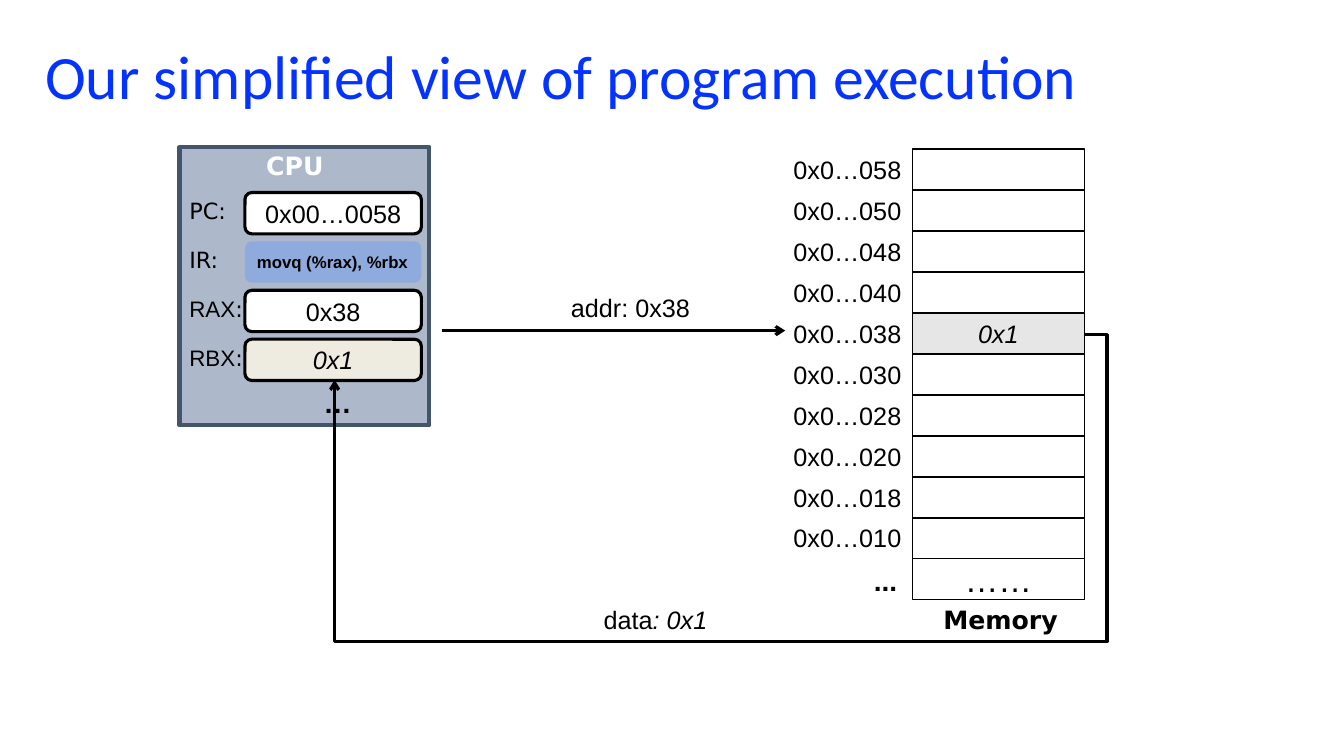
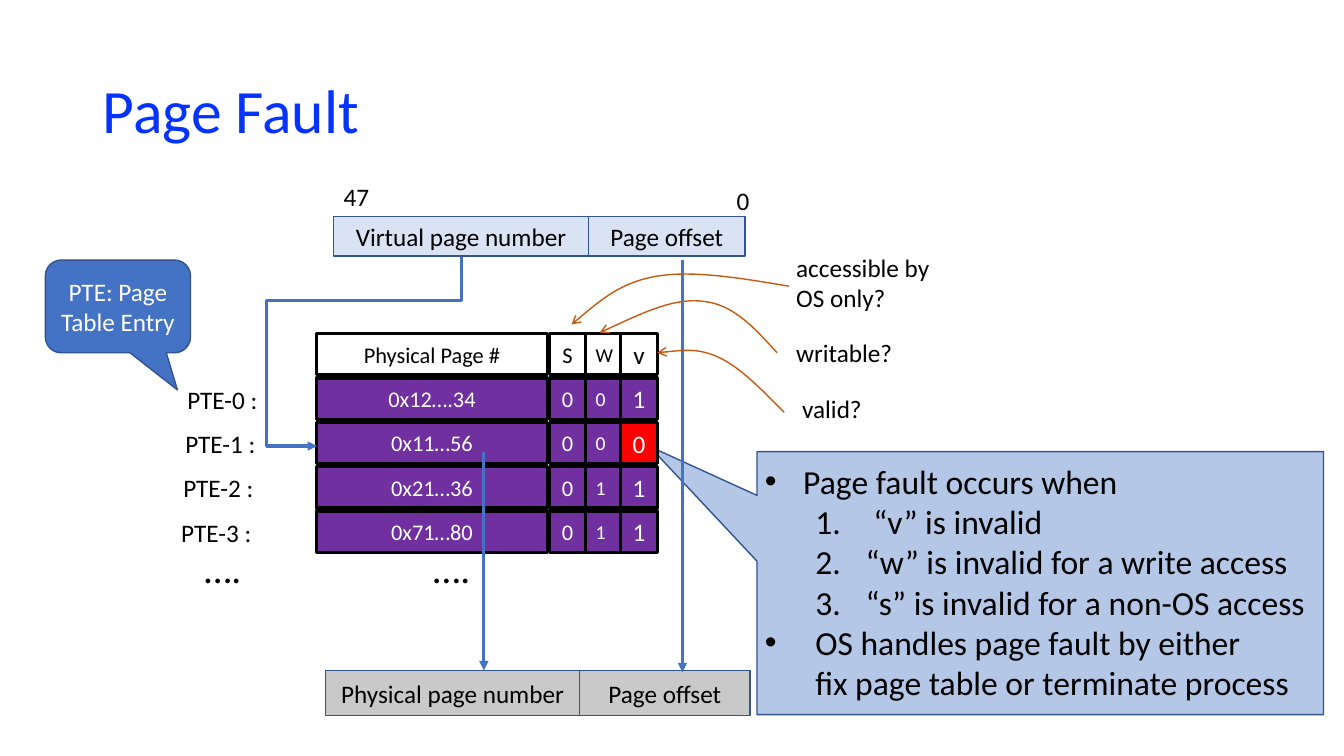
from dataclasses import dataclass

from lxml.etree import SubElement
from pptx import Presentation
from pptx.dml.color import RGBColor
from pptx.enum.shapes import MSO_CONNECTOR, MSO_SHAPE
from pptx.enum.text import MSO_ANCHOR, MSO_AUTO_SIZE, PP_ALIGN
from pptx.oxml.ns import qn
from pptx.util import Inches, Pt

# The grid has ten columns and ten rows to the inch.
COLUMNS, ROWS = 133.33, 75
BLACK, WHITE = "000000", "FFFFFF"
TITLE_BLUE, BLUE, BLUE_EDGE = "0432FF", "4472C4", "325491"
PURPLE, RED, ORANGE = "7030A0", "FF0000", "C55A11"
CALIBRI, ARIAL, DEJAVU = "Calibri", "Arial", "DejaVu Sans"
LEFT, CENTER, RIGHT = PP_ALIGN.LEFT, PP_ALIGN.CENTER, PP_ALIGN.RIGHT


def grid(*cells):
    return [Inches(cell / 10) for cell in cells]


def rgb(hex_color):
    return RGBColor.from_string(hex_color)


@dataclass
class Box:
    x: float
    y: float
    w: float
    h: float

    def at(self, dx, dy, w, h):
        """Box placed relative to this one's top left corner."""
        return Box(self.x + dx, self.y + dy, w, h)

    def emu(self):
        return grid(self.x, self.y, self.w, self.h)


def write(shape, paragraphs, size=18, font=CALIBRI, color=BLACK, bold=False,
          italic=False, align=LEFT, anchor=MSO_ANCHOR.MIDDLE, spacing=None):
    """Each paragraph is a string or a list of (text, format changes) runs."""
    frame = shape.text_frame
    frame.vertical_anchor = anchor
    if isinstance(paragraphs, str):
        paragraphs = [paragraphs]
    for index, runs in enumerate(paragraphs):
        paragraph = frame.add_paragraph() if index else frame.paragraphs[0]
        paragraph.alignment = align
        if spacing:
            paragraph.line_spacing = spacing
        for text, changes in [(runs, {})] if isinstance(runs, str) else runs:
            run = paragraph.add_run()
            run.text = text
            run.font.size = Pt(size)
            run.font.name = changes.get("font", font)
            run.font.bold = bold
            run.font.italic = changes.get("italic", italic)
            run.font.color.rgb = rgb(color)
    return frame


def label(slide, box, paragraphs, **text_format):
    text_box = slide.shapes.add_textbox(*box.emu())
    frame = write(text_box, paragraphs, anchor=MSO_ANCHOR.TOP, **text_format)
    frame.word_wrap = False
    frame.auto_size = MSO_AUTO_SIZE.SHAPE_TO_FIT_TEXT
    return frame


def block(slide, box, fill, edge=BLACK, weight=1.0, kind=MSO_SHAPE.RECTANGLE,
          text=None, adjust=(), **text_format):
    shape = slide.shapes.add_shape(kind, *box.emu())
    shape.shadow.inherit = False
    shape.fill.solid()
    shape.fill.fore_color.rgb = rgb(fill)
    if edge:
        shape.line.color.rgb = rgb(edge)
        shape.line.width = Pt(weight)
    else:
        shape.line.fill.background()
    for index, value in enumerate(adjust):
        shape.adjustments[index] = value
    if text:
        write(shape, text, **{"align": CENTER, **text_format})


def style_arrow(line, color, weight, head):
    line.line.color.rgb = rgb(color)
    line.line.width = Pt(weight)
    properties = line._element.spPr
    SubElement(properties.find(qn("a:ln")), qn("a:tailEnd"), type=head)
    if properties.find(qn("a:effectLst")) is None:
        SubElement(properties, qn("a:effectLst"))


def arrow(slide, start, end, color=BLUE, head="triangle"):
    line = slide.shapes.add_connector(MSO_CONNECTOR.STRAIGHT, *grid(*start, *end))
    style_arrow(line, color, 2.25, head)


def elbow(slide, start, end, bends, color=BLUE, head="triangle", quarter_turns=0):
    """Connector with three bends, turned about its centre."""
    line = slide.shapes.add_connector(MSO_CONNECTOR.ELBOW, *grid(*start, *end))
    properties = line._element.spPr
    if quarter_turns:
        properties.find(qn("a:xfrm")).set("rot", str(quarter_turns * 5400000))
    geometry = properties.find(qn("a:prstGeom"))
    geometry.set("prst", "bentConnector4")
    guides = geometry.find(qn("a:avLst"))
    if guides is None:
        guides = SubElement(geometry, qn("a:avLst"))
    for number, share in enumerate(bends, 1):
        SubElement(guides, qn("a:gd"), name=f"adj{number}",
                   fmla=f"val {round(share * 100000)}")
    style_arrow(line, color, 2.25, head)


def curve(slide, start, *points):
    """Arrow along cubic curves; every three points make one curve."""
    builder = slide.shapes.build_freeform(*grid(*start))
    builder.add_line_segments([grid(*point) for point in points], close=False)
    shape = builder.convert_to_shape()
    outline = shape._element.find(".//" + qn("a:path"))
    segments = outline.findall(qn("a:lnTo"))
    for first in range(0, len(segments), 3):
        bezier = SubElement(outline, qn("a:cubicBezTo"))
        for segment in segments[first:first + 3]:
            bezier.append(segment[0])
            outline.remove(segment)
    shape.shadow.inherit = False
    shape.fill.background()
    style_arrow(shape, ORANGE, 1, "arrow")


def add_slide(deck, title, box):
    slide = deck.slides.add_slide(deck.slide_layouts[6])
    heading = slide.shapes.add_textbox(*box.emu())
    write(heading, title, size=44, color=TITLE_BLUE, spacing=0.9).word_wrap = True
    return slide


def cpu(slide, box):
    block(slide, box, "ADB9CA", "44546A", 3)
    label(slide, box.at(7.6, -0.2, 7.7, 4), "CPU", font=DEJAVU, color=WHITE,
          bold=True, align=CENTER)
    colon = (":", {"font": DEJAVU})
    registers = [
        ([("PC", {"font": DEJAVU}), colon], "0x00…0058", WHITE, BLACK, {}),
        ([("IR", {"font": DEJAVU}), colon], "movq (%rax), %rbx", "8FAADC", None,
         {"size": 12, "bold": True, "align": LEFT}),
        ([("RAX", {}), colon], "0x38", WHITE, BLACK, {}),
        ([("RBX", {}), colon], "0x1", "EEECE1", BLACK, {"italic": True}),
    ]
    for row, (name, value, fill, edge, changes) in enumerate(registers):
        top = 4.5 + 4.85 * row
        label(slide, box.at(0, top, 7.7, 3.7), [name], size=16, font=ARIAL)
        block(slide, box.at(6.5, top, 17.5, 4.1), fill, edge, 2.25,
              MSO_SHAPE.ROUNDED_RECTANGLE, value, font=ARIAL, **changes)
    label(slide, box.at(13.3, 23.2, 4.8, 4.4), "…", size=20, font=ARIAL,
          bold=True, align=CENTER)


def memory(slide, box):
    """Column of words, each with its address on the left."""
    addresses = [f"0x0…0{number}" for number in
                 ("58", "50", "48", "40", "38", "30", "28", "20", "18", "10")]
    contents = {"0x0…038": ("0x1", "E7E6E6", {"italic": True}),
                "...": ("……", WHITE, {"size": 24})}
    pitch = box.h / (len(addresses) + 1)
    for row, address in enumerate(addresses + ["..."]):
        value, fill, changes = contents.get(address, (None, WHITE, {}))
        block(slide, box.at(0, row * pitch, box.w, pitch), fill, text=value,
              font=ARIAL, **changes)
        last = address == "..."
        label(slide, box.at(-12.9, row * pitch, 12.8 if not last else 12.4, 4),
              address, font=ARIAL, align=RIGHT, bold=last, size=20 if last else 18)
    label(slide, box.at(2.1, box.h, 13.4, 4), "Memory", font=DEJAVU, bold=True)


def execution_slide(deck):
    slide = add_slide(deck, "Our simplified view of program execution",
                      Box(3.5, 1.6, 127.1, 12.5))
    cpu(slide, Box(17.8, 14.6, 24.8, 27.6))
    memory(slide, Box(90.5, 14.8, 17.1, 44.7))
    arrow(slide, (43.8, 32.8), (77.9, 32.8), BLACK, "arrow")
    label(slide, Box(55.6, 28.5, 13.9, 4), "addr: 0x38", font=ARIAL, align=CENTER)
    elbow(slide, (107.6, 33.2), (33.2, 37.7), (-0.03, 6.76), BLACK, "arrow")
    label(slide, Box(58.9, 59.5, 12.5, 4),
          [[("data", {}), (": 0x1", {"italic": True})]], font=ARIAL)


def address_bar(slide, box, number_width, number, fill):
    """Page number and page offset side by side."""
    block(slide, box.at(0, 0, number_width, box.h), fill, BLUE_EDGE, text=number)
    block(slide, box.at(number_width, 0, box.w - number_width, box.h), fill,
          BLUE_EDGE, text="Page offset")


def page_table(slide, box):
    rows = [("Physical Page #", "S", "W", "v"), ("0x12….34", "0", "0", "1"),
            ("0x11…56", "0", "0", "0"), ("0x21…36", "0", "1", "1"),
            ("0x71…80", "0", "1", "1")]
    columns = [(0, 22.9, 16, CENTER), (23.1, 3.6, 16, CENTER),
               (26.7, 3.5, 14, LEFT), (30.2, 3.6, 18, CENTER)]
    pitch = box.h / len(rows)
    for row, values in enumerate(rows):
        for value, (left, width, size, align) in zip(values, columns):
            invalid = row == 2 and left == columns[-1][0]
            fill = RED if invalid else PURPLE if row else WHITE
            block(slide, box.at(left, row * pitch, width, 4.1), fill, BLACK, 2.25,
                  text=value, size=size, align=align,
                  color=WHITE if row else BLACK)
        if row:
            label(slide, box.at(-13.6 - 0.2 * row, row * pitch + 0.1, 9, 4),
                  f"PTE-{row - 1} :")
    for left in (-12.1, 10.6):
        label(slide, box.at(left, box.h - 1.6, 5.7, 5.7), "….", size=28)


def flag_questions(slide, box):
    for left, top, question in [(0, 0, ["accessible by", "OS only?"]),
                                (0, 8.5, "writable?"), (0.6, 14, "valid?")]:
        label(slide, box.at(left, top, 15.4, 4), question)
    curve(slide, (77.1, 35), (74.9, 32.6), (72.8, 30.2), (69.8, 29.9),
          (66.9, 29.5), (63.2, 31.3), (59.5, 33))
    curve(slide, (78.3, 28.4), (73.5, 27.6), (68.8, 26.8), (65.2, 27.4),
          (61.6, 28), (59.2, 30.1), (56.7, 32.2))
    curve(slide, (77.8, 40.9), (75.6, 38.7), (73.5, 36.5), (71.4, 35.5),
          (69.3, 34.5), (67.2, 34.8), (65.2, 35))


def fault_rules(slide, box):
    """Bulleted and numbered text of the large callout."""
    numbered = ("a:buAutoNum", {"type": "arabicPeriod"})
    dot = ("a:buChar", {"char": "•"})
    rules = [("Page fault occurs when", 0, 0.38, -0.38, dot),
             (" “v” is invalid", 1, 1, -0.5, numbered),
             ("“w” is invalid for a write access", 1, 1, -0.5, numbered),
             ("“s” is invalid for a non-OS access", 1, 1, -0.5, numbered),
             ("OS handles page fault by either", 0, 0.5, -0.5, dot),
             ("fix page table or terminate process", 1, 0.5, 0, ("a:buNone", {}))]
    frame = label(slide, box, [rule[0] for rule in rules], size=24)
    for paragraph, (_, level, margin, indent, bullet) in zip(frame.paragraphs, rules):
        paragraph.level = level
        properties = paragraph._p.get_or_add_pPr()
        properties.set("marL", str(Inches(margin)))
        properties.set("indent", str(Inches(indent)))
        tag, attributes = bullet
        if bullet is dot:
            SubElement(properties, qn("a:buFont"), typeface=ARIAL)
        SubElement(properties, qn(tag), **attributes)


def page_fault_slide(deck):
    rules_box = Box(75.1, 44.8, 56.2, 26.1)
    slide = add_slide(deck, "Page Fault", Box(9.2, 4, 115, 14.5))
    block(slide, rules_box, "B4C7E7", BLUE_EDGE,
          kind=MSO_SHAPE.RECTANGULAR_CALLOUT, adjust=(-0.69, -0.52))
    label(slide, Box(33.1, 17.5, 4.6, 4), "47")
    label(slide, Box(72.1, 17.9, 3.3, 4), "0")
    address_bar(slide, Box(33.1, 21.5, 40.8, 3.9), 25.3, "Virtual page number", "DAE3F3")
    address_bar(slide, Box(32.3, 66.5, 42.1, 4.5), 25.2, "Physical page number", "C9C9C9")
    arrow(slide, (67.7, 25.8), (67.7, 66.7))
    page_table(slide, Box(31.4, 33.1, 33.8, 22))
    arrow(slide, (48, 44.8), (48, 66.5))
    elbow(slide, (29.2, 27.7), (48, 42), (0.23, 1.35), quarter_turns=1)
    flag_questions(slide, Box(78, 24.5, 15.4, 18))
    fault_rules(slide, rules_box.at(-0.2, 0.4, 56.1, 25.2))
    block(slide, Box(4.5, 25.8, 14.4, 9.2), BLUE, BLUE_EDGE,
          kind=MSO_SHAPE.ROUNDED_RECTANGULAR_CALLOUT, adjust=(0.41, 0.9, 0.17),
          text="PTE: Page Table Entry", color=WHITE)


def main():
    deck = Presentation()
    deck.slide_width, deck.slide_height = grid(COLUMNS, ROWS)
    execution_slide(deck)
    page_fault_slide(deck)
    deck.save("out.pptx")


if __name__ == "__main__":
    main()
